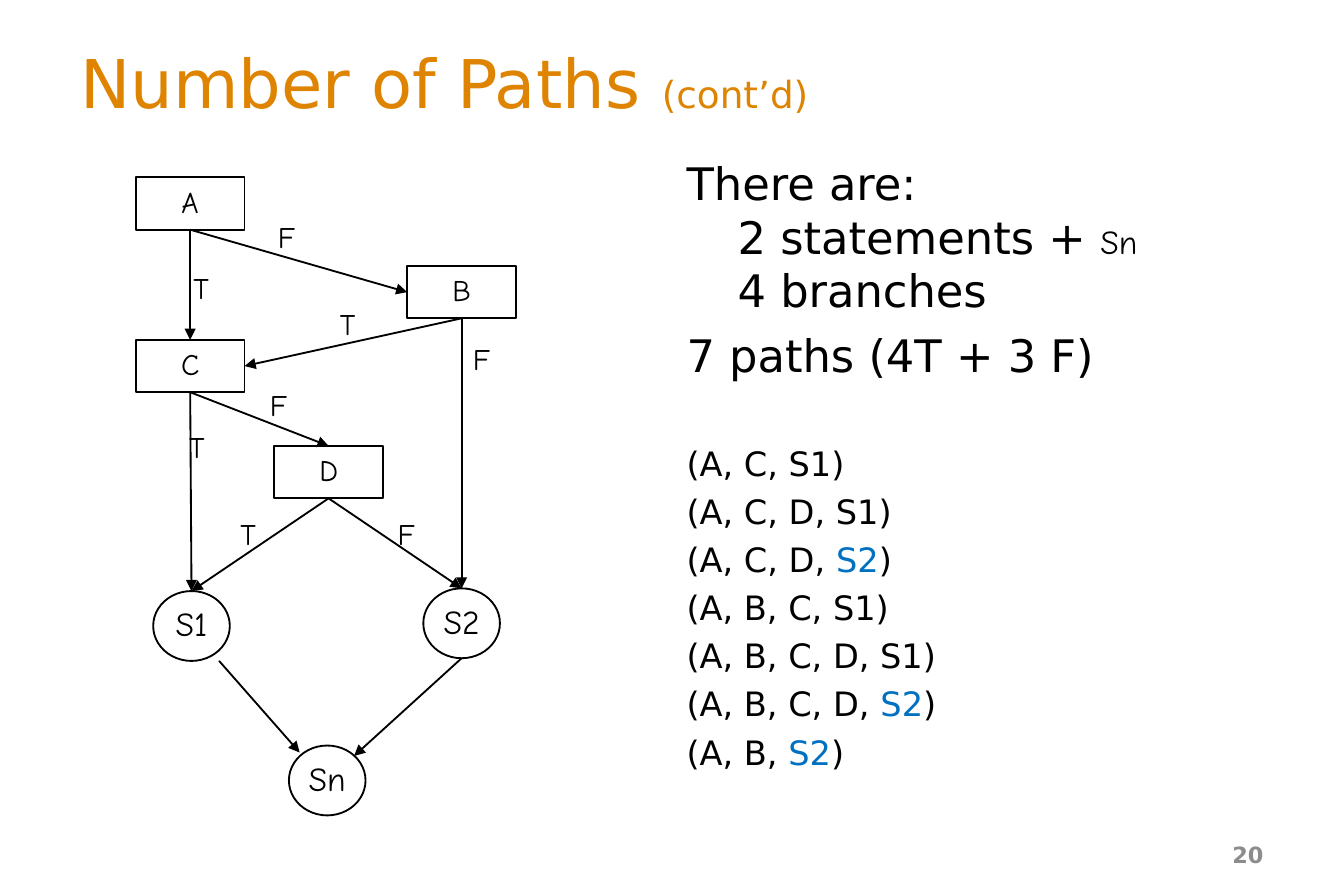
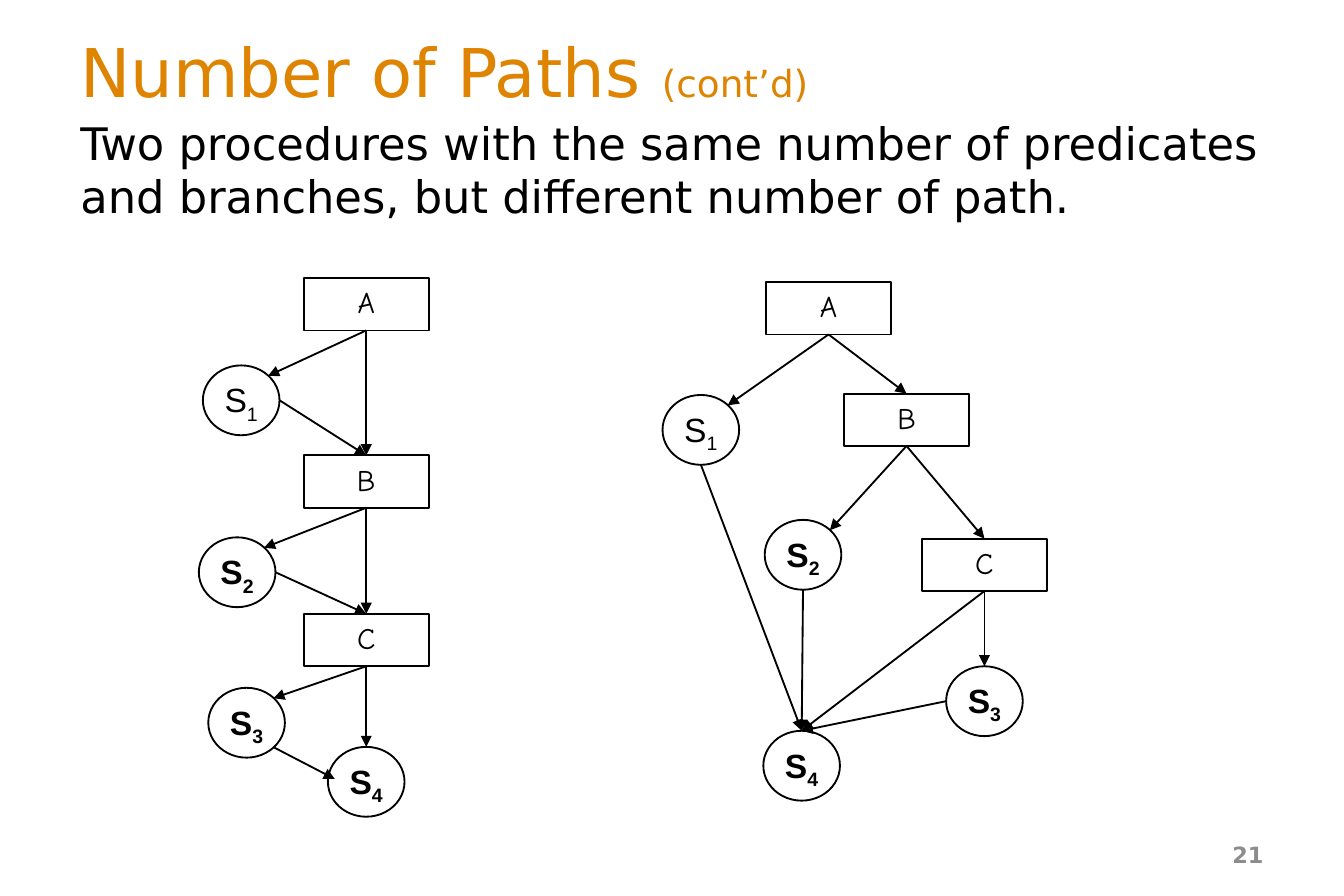
from dataclasses import dataclass
from typing import NamedTuple

from lxml import etree
from pptx import Presentation
from pptx.dml.color import RGBColor
from pptx.enum.shapes import MSO_CONNECTOR, MSO_SHAPE
from pptx.enum.text import MSO_ANCHOR, PP_ALIGN
from pptx.oxml.ns import qn
from pptx.util import Inches, Pt

RECT, OVAL = MSO_SHAPE.RECTANGLE, MSO_SHAPE.OVAL
STRAIGHT = MSO_CONNECTOR.STRAIGHT
TOP_ANCHOR, MIDDLE = MSO_ANCHOR.TOP, MSO_ANCHOR.MIDDLE
CENTER, RIGHT_ALIGN = PP_ALIGN.CENTER, PP_ALIGN.RIGHT

BLACK, ORANGE, BLUE, GRAY = "000000", "DE8400", "0070C0", "8C8C8C"
MAIN_FONT, HAND_FONT, SUB_FONT = "DejaVu Sans", "Comic Neue", "Arial"
BREAK = "\v"


class Site(NamedTuple):
    """A place on a node, as fractions of its width and height."""
    fx: float
    fy: float
    index: int = -1  # connection number on a rectangle


TOP, LEFT = Site(0.5, 0, 0), Site(0, 0.5, 1)
BOTTOM, RIGHT = Site(0.5, 1, 2), Site(1, 0.5, 3)
UPPER_RIGHT, LOWER_RIGHT = Site(0.85, 0.15), Site(0.85, 0.85)


@dataclass(frozen=True)
class NodeStyle:
    shape: int
    width: float
    height: float
    font: str
    size: int
    bold: bool = False


@dataclass(frozen=True)
class Node:
    label: str
    x: float
    y: float
    style: NodeStyle
    sub: str = ""


class Edge(NamedTuple):
    start: str
    start_site: Site
    end: str
    end_site: Site


class BranchLabel(NamedTuple):
    text: str
    x: float
    y: float


class Span(NamedTuple):
    text: str
    size: int
    color: str = BLACK
    font: str = MAIN_FONT


BOX = NodeStyle(RECT, 0.81, 0.39, HAND_FONT, 16)
WIDE_BOX = NodeStyle(RECT, 0.93, 0.39, HAND_FONT, 16)
CIRCLE = NodeStyle(OVAL, 0.57, 0.52, HAND_FONT, 18)
SUB_CIRCLE = NodeStyle(OVAL, 0.57, 0.52, SUB_FONT, 18)
BOLD_CIRCLE = NodeStyle(OVAL, 0.57, 0.52, SUB_FONT, 18, True)


def rgb(color: str) -> RGBColor:
    return RGBColor.from_string(color)


def set_font(font, name: str, size: int, color: str = BLACK, bold: bool = False) -> None:
    font.name, font.size, font.bold = name, Pt(size), bold
    font.color.rgb = rgb(color)


def add_text_box(s, x: float, y: float, w: float, h: float, anchor=TOP_ANCHOR):
    tf = s.shapes.add_textbox(Inches(x), Inches(y), Inches(w), Inches(h)).text_frame
    tf.word_wrap, tf.vertical_anchor = True, anchor
    return tf


def add_spans(p, spans: list[Span]) -> None:
    for span in spans:
        for i, line in enumerate(span.text.split(BREAK)):
            if i:
                p.add_line_break()
            if line:
                r = p.add_run()
                r.text = line
                set_font(r.font, span.font, span.size, span.color)


def add_title(s, height: float) -> None:
    tf = add_text_box(s, 0.5, 0.27, 9, height, MIDDLE)
    add_spans(tf.paragraphs[0], [Span("Number of Paths ", 36, ORANGE),
                                 Span("(cont’d)", 20, ORANGE)])


def add_page_number(s, number: int) -> None:
    p = add_text_box(s, 7.17, 6.18, 2.33, 0.36, MIDDLE).paragraphs[0]
    p.text, p.alignment = str(number), RIGHT_ALIGN
    set_font(p.font, MAIN_FONT, 12, GRAY, True)


def add_node(s, node: Node):
    style = node.style
    sp = s.shapes.add_shape(style.shape, Inches(node.x), Inches(node.y),
                            Inches(style.width), Inches(style.height))
    sp.shadow.inherit = False
    sp.fill.background()
    sp.line.color.rgb, sp.line.width = rgb(BLACK), Pt(1)
    tf = sp.text_frame
    tf.word_wrap, tf.vertical_anchor = False, MIDDLE
    p = tf.paragraphs[0]
    p.alignment, p.line_spacing = CENTER, 0.9
    set_font(p.font, style.font, style.size, BLACK, style.bold)
    p.add_run().text = node.label
    if node.sub:
        r = p.add_run()
        r.text = node.sub
        r.font._element.set("baseline", "-25000")
    return sp


def site_point(sp, site: Site) -> tuple[int, int]:
    return round(sp.left + site.fx * sp.width), round(sp.top + site.fy * sp.height)


def add_arrow(s, start, start_site: Site, end, end_site: Site) -> None:
    c = s.shapes.add_connector(STRAIGHT, *site_point(start, start_site),
                               *site_point(end, end_site))
    if start.auto_shape_type == RECT:
        c.begin_connect(start, start_site.index)
    if end.auto_shape_type == RECT:
        c.end_connect(end, end_site.index)
    c.line.color.rgb, c.line.width = rgb(BLACK), Pt(1)
    etree.SubElement(c.line._get_or_add_ln(), qn("a:tailEnd"), type="triangle")
    etree.SubElement(c._element.spPr, qn("a:effectLst"))


def add_graph(s, nodes: list[Node], edges: list[Edge]) -> None:
    shapes = {node.label + node.sub: add_node(s, node) for node in nodes}
    for edge in edges:
        add_arrow(s, shapes[edge.start], edge.start_site, shapes[edge.end], edge.end_site)


def add_branch_label(s, label: BranchLabel) -> None:
    p = add_text_box(s, label.x, label.y, 0.53, 0.34).paragraphs[0]
    p.text, p.line_spacing = label.text, 0.9
    set_font(p.font, HAND_FONT, 16)


def path_spans(names: str) -> list[Span]:
    """One path in brackets, with a closing S2 in blue."""
    if not names.endswith("S2"):
        return [Span(f"({names})", 18)]
    return [Span("(" + names.removesuffix("S2"), 18), Span("S2", 18, BLUE), Span(")", 18)]


# Slide 20: one flow graph and its paths
PATHS_NODES = [
    Node("A", 1.01, 1.32, BOX), Node("B", 3.03, 1.98, BOX),
    Node("C", 1.01, 2.53, BOX), Node("D", 2.04, 3.32, BOX),
    Node("S1", 1.14, 4.4, CIRCLE), Node("S2", 3.15, 4.38, CIRCLE),
    Node("Sn", 2.15, 5.55, CIRCLE),
]
PATHS_EDGES = [
    Edge("A", BOTTOM, "C", TOP), Edge("A", BOTTOM, "B", LEFT),
    Edge("B", BOTTOM, "C", RIGHT), Edge("B", BOTTOM, "S2", TOP),
    Edge("C", BOTTOM, "S1", TOP), Edge("C", BOTTOM, "D", TOP),
    Edge("D", BOTTOM, "S1", TOP), Edge("D", BOTTOM, "S2", TOP),
    Edge("S1", Site(0.86, 1), "Sn", Site(0.14, 0.1)),
    Edge("S2", BOTTOM, "Sn", UPPER_RIGHT),
]
BRANCH_LABELS = [
    BranchLabel("T", 1.34, 1.99), BranchLabel("F", 1.97, 1.61),
    BranchLabel("T", 2.43, 2.26), BranchLabel("F", 3.42, 2.52),
    BranchLabel("T", 1.31, 3.17), BranchLabel("F", 1.91, 2.86),
    BranchLabel("T", 1.69, 3.82), BranchLabel("F", 2.86, 3.82),
]
PATHS = ["A, C, S1", "A, C, D, S1", "A, C, D, S2", "A, B, C, S1",
         "A, B, C, D, S1", "A, B, C, D, S2", "A, B, S2"]

# Slide 21: two graphs with the same number of branches
CHAIN_NODES = [
    Node("A", 2.26, 2.07, WIDE_BOX), Node("B", 2.26, 3.39, WIDE_BOX),
    Node("C", 2.26, 4.57, WIDE_BOX),
    Node("S", 1.51, 2.72, SUB_CIRCLE, "1"), Node("S", 1.48, 4, BOLD_CIRCLE, "2"),
    Node("S", 1.55, 5.12, BOLD_CIRCLE, "3"), Node("S", 2.44, 5.56, BOLD_CIRCLE, "4"),
]
CHAIN_EDGES = [
    Edge("A", BOTTOM, "S1", UPPER_RIGHT), Edge("A", BOTTOM, "B", TOP),
    Edge("S1", RIGHT, "B", TOP),
    Edge("B", BOTTOM, "S2", UPPER_RIGHT), Edge("B", BOTTOM, "C", TOP),
    Edge("S2", RIGHT, "C", TOP),
    Edge("C", BOTTOM, "S3", UPPER_RIGHT), Edge("C", BOTTOM, "S4", TOP),
    Edge("S3", LOWER_RIGHT, "S4", Site(0.09, 0.46)),
]
TREE_NODES = [
    Node("A", 5.7, 2.1, WIDE_BOX), Node("B", 6.28, 2.93, WIDE_BOX),
    Node("C", 6.86, 4.01, WIDE_BOX),
    Node("S", 4.93, 2.94, SUB_CIRCLE, "1"), Node("S", 5.69, 3.87, BOLD_CIRCLE, "2"),
    Node("S", 7.04, 4.96, BOLD_CIRCLE, "3"), Node("S", 5.68, 5.44, BOLD_CIRCLE, "4"),
]
TREE_EDGES = [
    Edge("A", BOTTOM, "S1", UPPER_RIGHT), Edge("A", BOTTOM, "B", TOP),
    Edge("B", BOTTOM, "S2", UPPER_RIGHT), Edge("B", BOTTOM, "C", TOP),
    Edge("C", BOTTOM, "S3", TOP), Edge("C", BOTTOM, "S4", TOP),
    Edge("S1", BOTTOM, "S4", TOP), Edge("S2", BOTTOM, "S4", TOP),
    Edge("S3", LEFT, "S4", TOP),
]


def add_path_list(s) -> None:
    paragraphs = [
        (0, [Span(f"There are:{BREAK}2 statements + ", 24), Span("Sn", 18, font=HAND_FONT),
             Span(f"{BREAK}4 branches", 24)]),
        (5.6, [Span("7 paths (4T + 3 F)", 24)]),
    ]
    # The first path stands one line apart from the summary
    paragraphs += [(4.2 if i else 33, path_spans(names)) for i, names in enumerate(PATHS)]
    tf = add_text_box(s, 5.01, 1.11, 4.49, 4.82)
    for i, (space, spans) in enumerate(paragraphs):
        p = tf.add_paragraph() if i else tf.paragraphs[0]
        p.space_before = Pt(space)
        pPr = p._p.get_or_add_pPr()
        pPr.set("marL", str(Inches(0.38)))
        pPr.set("indent", str(Inches(-0.38)))
        add_spans(p, spans)


def add_paths_slide(prs) -> None:
    s = prs.slides.add_slide(prs.slide_layouts[6])
    add_title(s, 0.67)
    add_path_list(s)
    add_graph(s, PATHS_NODES, PATHS_EDGES)
    for label in BRANCH_LABELS:
        add_branch_label(s, label)
    add_page_number(s, 20)


def add_comparison_slide(prs) -> None:
    s = prs.slides.add_slide(prs.slide_layouts[6])
    add_title(s, 0.51)
    p = add_text_box(s, 0.5, 0.81, 9.08, 1.15).paragraphs[0]
    p.text = ("Two procedures with the same number of predicates and branches, "
              "but different number of path.")
    set_font(p.font, MAIN_FONT, 24)
    add_graph(s, CHAIN_NODES, CHAIN_EDGES)
    add_graph(s, TREE_NODES, TREE_EDGES)
    add_page_number(s, 21)


def main() -> None:
    prs = Presentation()
    prs.slide_width, prs.slide_height = Inches(10), Inches(6.67)
    add_paths_slide(prs)
    add_comparison_slide(prs)
    prs.save("out.pptx")


if __name__ == "__main__":
    main()
